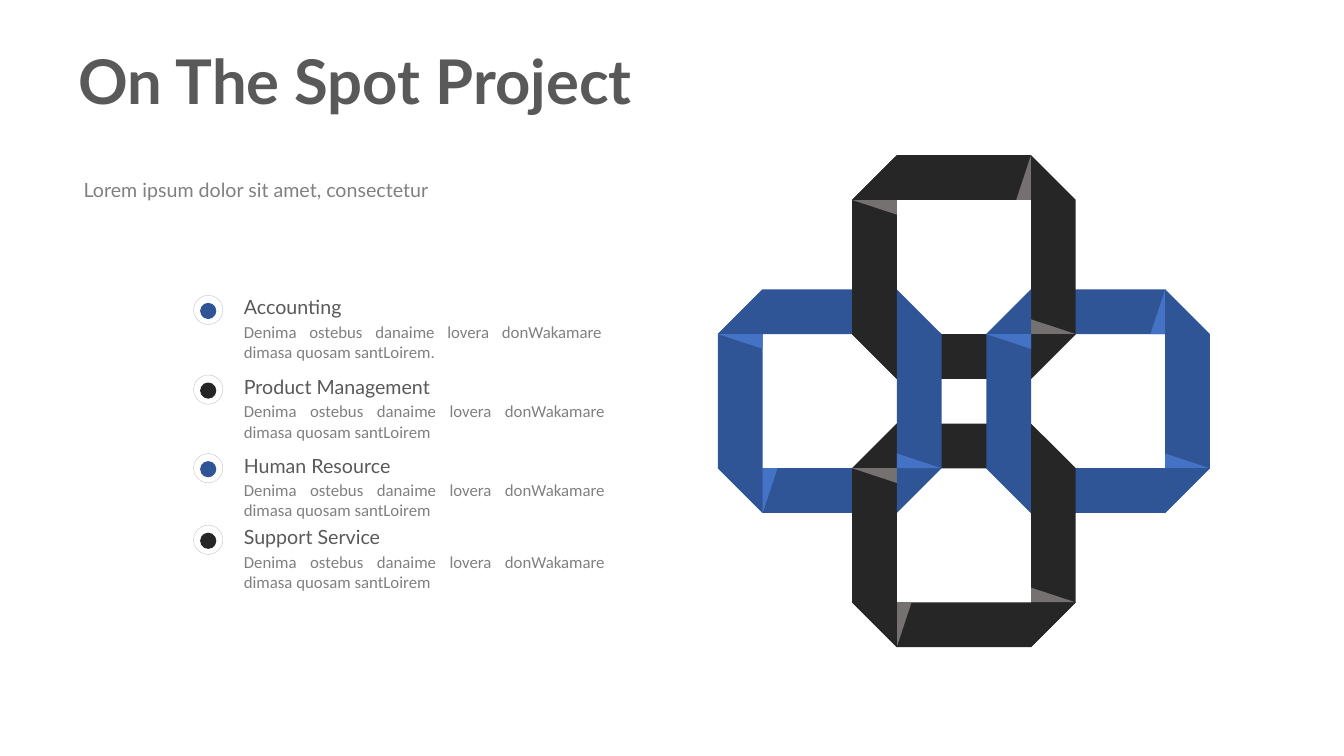
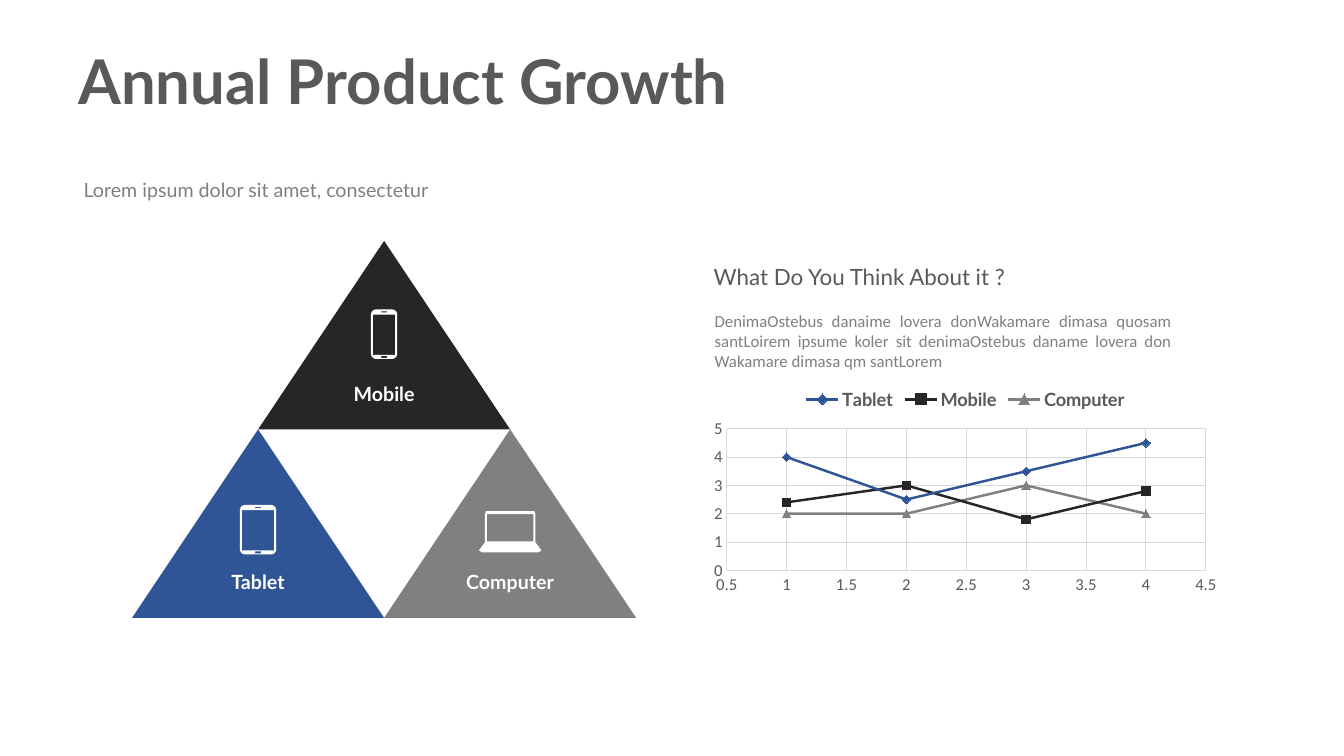
import math
import pptx
import pptx.chart.data
import pptx.dml.color
import pptx.enum.chart
import pptx.enum.shapes
import pptx.enum.text
import pptx.util

# Content
SUBTITLE = "Lorem ipsum dolor sit amet, consectetur"
BLURB = "Denima ostebus danaime lovera donWakamare dimasa quosam santLoirem"
# heading, text, top, text width, dot colour
SERVICES = [
    ("Accounting", BLURB + ".", 2.88, 3.75, "blue"),
    ("Product Management", BLURB, 3.67, 3.78, "black"),
    ("Human Resource", BLURB, 4.45, 3.78, "blue"),
    ("Support Service", BLURB, 5.16, 3.78, "black"),
]
QUESTION = "What Do You Think About it ?"
ANSWER = ("DenimaOstebus danaime lovera donWakamare dimasa quosam santLoirem ipsume "
          "koler sit denimaOstebus daname lovera don Wakamare dimasa qm santLorem")
# label, column, row, colour, icon, icon offset from the apex
PRODUCTS = [
    ("Computer", 1, 1, "grey", "laptop", 0.81),
    ("Mobile", 0, 0, "black", "phone", 0.68),
    ("Tablet", -1, 1, "blue", "tablet", 0.75),
]
# name, values, colour, marker
GROWTH = [
    ("Tablet", (4, 2.5, 3.5, 4.5), "blue", "DIAMOND"),
    ("Mobile", (2.4, 3, 1.8, 2.8), "black", "SQUARE"),
    ("Computer", (2, 2, 3, 2), "grey", "TRIANGLE"),
]

# Ring parts in units from the ring's centre: band outline, fold outline
F = 1.17
BANDS = {
    "top": ([(-1.5, -2.5), (1.5, -2.5), (1.5, -1.5), (-2.5, -1.5)],
            [(1.5, -2.5), (1.5, -1.5), (F, -1.5)]),
    "right": ([(1.5, -2.5), (2.5, -1.5), (2.5, 1.5), (1.5, 2.5)],
              [(2.5, 1.5), (1.5, 1.5), (1.5, F)]),
    "bottom": ([(-2.5, 1.5), (2.5, 1.5), (1.5, 2.5), (-1.5, 2.5)],
               [(-1.5, 2.5), (-1.5, 1.5), (-F, 1.5)]),
    "left": ([(-2.5, -1.5), (-1.5, -2.5), (-1.5, 2.5), (-2.5, 1.5)],
             [(-2.5, -1.5), (-1.5, -1.5), (-1.5, -F)]),
}
# ring: column, row, band colour, fold colour
RINGS = {
    "north": (0, -1, "black", "taupe"),
    "west": (-1, 0, "blue", "sky"),
    "east": (1, 0, "blue", "sky"),
    "south": (0, 1, "black", "taupe"),
}
# Back to front, so that the rings interlace
WEAVE = [
    ("west", "bottom"), ("west", "top"), ("south", "top"), ("east", "top"),
    ("north", "right"), ("north", "bottom"), ("north", "left"), ("north", "top"),
    ("east", "right"), ("east", "bottom"), ("east", "left"),
    ("south", "right"), ("south", "bottom"), ("south", "left"),
    ("west", "right"), ("west", "left"),
]
REFOLD = [("west", "bottom")]

# Theme
THEME = {
    "blue": "2F5597", "black": "262626", "grey": "808080", "sky": "4472C4",
    "taupe": "767171", "dark": "595959", "white": "FFFFFF",
    "ring": "BFBFBF", "grid": "D9D9D9",
}
STYLES = {
    "title": dict(name="Lato", size=44, bold=True, color="dark"),
    "subtitle": dict(name="Lato", size=14, color="grey"),
    "heading": dict(name="Lato", size=14, color="dark"),
    "question": dict(name="Lato", size=16, color="dark"),
    "body": dict(name="Calibri", size=12, color="grey"),
    "label": dict(name="Lato", size=14, bold=True, color="white"),
    "axis": dict(name="Calibri", size=11.9, color="dark"),
    "legend": dict(name="Lato", size=13, bold=True, color="dark"),
}
ALIGN = pptx.enum.text.PP_ALIGN
SHAPE = pptx.enum.shapes.MSO_SHAPE
Inches, Pt = pptx.util.Inches, pptx.util.Pt


def rgb(name):
    return pptx.dml.color.RGBColor.from_string(THEME[name])


def set_font(font, style):
    for key, value in STYLES[style].items():
        if key == "color":
            font.color.rgb = rgb(value)
        else:
            setattr(font, key, Pt(value) if key == "size" else value)


def set_line(line, color, width):
    line.color.rgb = rgb(color)
    line.width = Pt(width)


def add_text(s, text, style, box, align=ALIGN.LEFT, spacing=None):
    tf = s.shapes.add_textbox(*map(Inches, box)).text_frame
    tf.word_wrap = True
    p = tf.paragraphs[0]
    p.alignment = align
    if spacing:
        p.line_spacing = Pt(spacing)
    r = p.add_run()
    r.text = text
    set_font(r.font, style)


def add_shape(s, kind, box, fill=None, line=None, width=0.75):
    sp = s.shapes.add_shape(kind, *map(Inches, box))
    sp.shadow.inherit = False
    if fill:
        sp.fill.solid()
        sp.fill.fore_color.rgb = rgb(fill)
    else:
        sp.fill.background()
    if line:
        set_line(sp.line, line, width)
    else:
        sp.line.fill.background()


def add_outline(s, contours, fill):
    """Filled freeform; contours inside the first one are holes."""
    paths = [[(Inches(x), Inches(y)) for x, y in c] for c in contours]
    builder = s.shapes.build_freeform(*paths[0][0], scale=1.0)
    for i, points in enumerate(paths):
        if i:
            builder.move_to(*points[0])
        builder.add_line_segments(points[1:], close=True)
    sp = builder.convert_to_shape()
    sp.shadow.inherit = False
    sp.fill.solid()
    sp.fill.fore_color.rgb = rgb(fill)
    sp.line.fill.background()


def round_rect(x, y, w, h, radius=0.0):
    if not radius:
        return [(x, y), (x + w, y), (x + w, y + h), (x, y + h)]
    centres = round_rect(x + radius, y + radius, w - 2 * radius, h - 2 * radius)
    return [(cx + radius * math.cos(math.radians(a)), cy + radius * math.sin(math.radians(a)))
            for i, (cx, cy) in enumerate(centres)
            for a in range(180 + 90 * i, 271 + 90 * i, 15)]


def handheld(cx, y, w):
    x = cx - w / 2
    return [round_rect(x, y, w, 0.49, 0.05),
            round_rect(x + 0.02, y + 0.05, w - 0.04, 0.4),
            round_rect(cx - 0.03, y + 0.02, 0.06, 0.01),
            round_rect(cx - 0.03, y + 0.46, 0.06, 0.02)]


def laptop(cx, y):
    body = [(-0.24, 0), (0.24, 0), (0.25, 0.03), (0.25, 0.31), (0.31, 0.39),
            (0.28, 0.41), (-0.28, 0.41), (-0.31, 0.39), (-0.25, 0.31), (-0.25, 0.03)]
    return [[(cx + dx, y + dy) for dx, dy in body],
            round_rect(cx - 0.23, y + 0.03, 0.46, 0.27)]


ICONS = {
    "phone": lambda cx, y: handheld(cx, y, 0.26),
    "tablet": lambda cx, y: handheld(cx, y, 0.36),
    "laptop": laptop,
}


def add_slide(title, width):
    s = prs.slides.add_slide(prs.slide_layouts[6])
    add_text(s, title, "title", (0.68, 0.55, width, 0.66), spacing=40)
    add_text(s, SUBTITLE, "subtitle", (0.73, 1.72, 4.25, 0.57))
    return s


prs = pptx.Presentation()
prs.slide_width, prs.slide_height = Inches(13.33), Inches(7.5)

# Slide 1: interlaced rings
s = add_slide("On The Spot Project", 7.74)
UNIT, CX, CY = 4.88 / 11, 9.56, 3.98


def place(points, ring):
    col, row = RINGS[ring][:2]
    return [(CX + (3 * col + x) * UNIT, CY + (3 * row + y) * UNIT) for x, y in points]


for ring, side in WEAVE:
    band, fold = BANDS[side]
    add_outline(s, [place(band, ring)], RINGS[ring][2])
    add_outline(s, [place(fold, ring)], RINGS[ring][3])
for ring, side in REFOLD:
    add_outline(s, [place(BANDS[side][1], ring)], RINGS[ring][3])

# Slide 1: service list
for heading, text, top, width, color in SERVICES:
    add_text(s, heading, "heading", (2.32, top, 2.67, 0.34))
    add_text(s, text, "body", (2.32, top + 0.26, width, 0.5), ALIGN.JUSTIFY)
    add_shape(s, SHAPE.OVAL, (1.99, top + 0.13, 0.15, 0.15), color, color)
    add_shape(s, SHAPE.OVAL, (1.92, top + 0.05, 0.29, 0.29), None, "ring", 0.25)

# Slide 2: product pyramid
s = add_slide("Annual Product Growth", 9.18)
SIDE, RISE, APEX_X, APEX_Y = 2.5, 1.87, 3.81, 2.39
for label, col, row, color, icon, drop in PRODUCTS:
    cx, y = APEX_X + col * SIDE / 2, APEX_Y + row * RISE
    x = cx - SIDE / 2
    add_shape(s, SHAPE.ISOSCELES_TRIANGLE, (x, y, SIDE, RISE), color)
    add_text(s, label, "label", (x, y + 1.35, SIDE, 0.34), ALIGN.CENTER)
    add_outline(s, ICONS[icon](cx, y + drop), "white")

# Slide 2: question and chart
add_text(s, QUESTION, "question", (6.98, 2.56, 3.77, 0.37))
add_text(s, ANSWER, "body", (6.99, 3.03, 4.73, 0.71), ALIGN.JUSTIFY)

data = pptx.chart.data.XyChartData()
for name, values, color, marker in GROWTH:
    series = data.add_series(name)
    for x, y in enumerate(values, 1):
        series.add_data_point(x, y)
chart = s.shapes.add_chart(pptx.enum.chart.XL_CHART_TYPE.XY_SCATTER_SMOOTH,
                           *map(Inches, (6.98, 3.74, 5.19, 2.2)), data).chart
chart.has_title = False
chart.font.name, chart.font.size = "Calibri", Pt(10)
chart.has_legend = True
chart.legend.position = pptx.enum.chart.XL_LEGEND_POSITION.TOP
chart.legend.include_in_layout = False
set_font(chart.legend.font, "legend")

AXES = [
    (chart.category_axis, dict(minimum_scale=0.5, maximum_scale=4.5, major_unit=0.5)),
    (chart.value_axis, dict(minimum_scale=0, maximum_scale=5, major_unit=1)),
]
for axis, scale in AXES:
    tick = pptx.enum.chart.XL_TICK_MARK.NONE
    for key, value in dict(scale, has_major_gridlines=True,
                           major_tick_mark=tick, minor_tick_mark=tick).items():
        setattr(axis, key, value)
    axis.tick_labels.number_format = "General"
    axis.tick_labels.number_format_is_linked = False
    set_font(axis.tick_labels.font, "axis")
    set_line(axis.format.line, "grid", 0.75)
    set_line(axis.major_gridlines.format.line, "grid", 0.75)

for series, (name, values, color, marker) in zip(chart.plots[0].series, GROWTH):
    set_line(series.format.line, color, 1.75)
    series.marker.style = getattr(pptx.enum.chart.XL_MARKER_STYLE, marker)
    series.marker.size = 6
    series.marker.format.fill.solid()
    series.marker.format.fill.fore_color.rgb = rgb(color)
    set_line(series.marker.format.line, color, 0.75)

prs.save("out.pptx")
